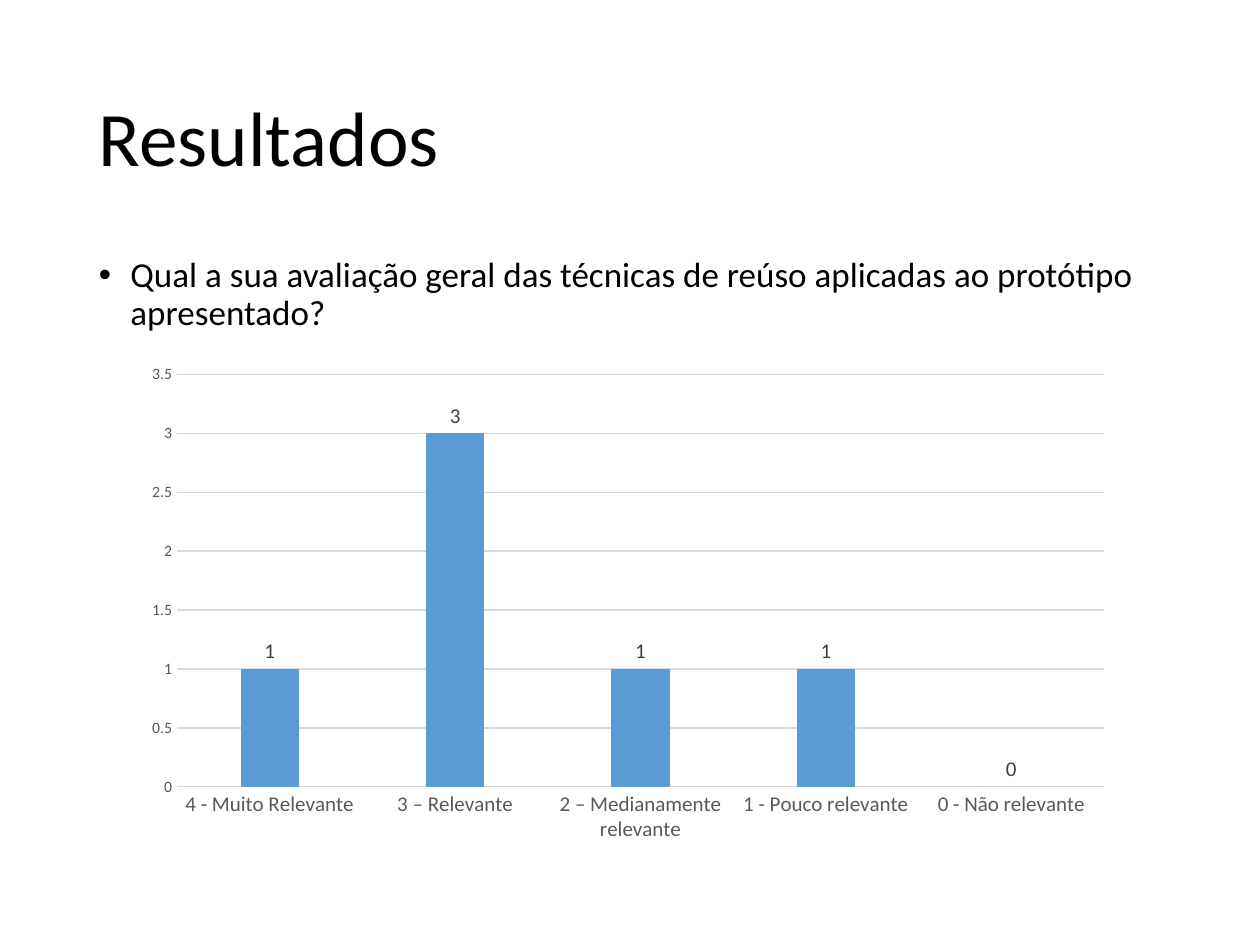
"""Build the survey results slide with its question and column chart."""
from lxml import etree
from pptx import Presentation
from pptx import util as u
from pptx.chart.data import CategoryChartData
from pptx.dml.color import RGBColor
from pptx.enum import chart as ch, text
from pptx.oxml.ns import qn

Pt = u.Pt
FONT = "Calibri"
COLORS = {"text": "000000", "axis": "595959", "label": "404040",
          "grid": "D9D9D9", "bar": "5B9BD5"}
RESULTS = {"4 - Muito Relevante": 1, "3 – Relevante": 3,
           "2 – Medianamente relevante": 1, "1 - Pouco relevante": 1,
           "0 - Não relevante": 0}


def rgb(name):
    return RGBColor.from_string(COLORS[name])


def set_attrs(obj, **values):
    for name, value in values.items():
        setattr(obj, name, value)


def set_font(font, size, color):
    set_attrs(font, name=FONT, size=Pt(size))
    font.color.rgb = rgb(color)


def set_line(fmt):
    fmt.line.width = Pt(0.75)
    fmt.line.color.rgb = rgb("grid")


def add_text(s, box, content, size, anchor):
    sp = s.shapes.add_textbox(*map(Pt, box))
    tf = sp.text_frame
    set_attrs(tf, word_wrap=True, vertical_anchor=anchor)
    p = tf.paragraphs[0]
    p.line_spacing = 0.9
    r = p.add_run()
    r.text = content
    set_font(r.font, size, "text")
    return p


def add_bullet(p, indent):
    pPr = p._p.get_or_add_pPr()
    pPr.set("marL", str(Pt(indent)))
    pPr.set("indent", str(-Pt(indent)))
    etree.SubElement(pPr, qn("a:buFont")).set("typeface", "Arial")
    etree.SubElement(pPr, qn("a:buChar")).set("char", "•")


def format_axis(axis, size):
    set_attrs(axis, major_tick_mark=ch.XL_TICK_MARK.NONE,
              minor_tick_mark=ch.XL_TICK_MARK.NONE)
    set_font(axis.tick_labels.font, size, "axis")


def add_results_chart(s, box):
    data = CategoryChartData()
    data.categories = list(RESULTS)
    data.add_series("Series 1", list(RESULTS.values()))
    kind = ch.XL_CHART_TYPE.COLUMN_CLUSTERED
    chart = s.shapes.add_chart(kind, *map(Pt, box), data).chart
    set_attrs(chart, has_legend=False, has_title=False)
    set_font(chart.font, 10, "text")

    cat, val = chart.category_axis, chart.value_axis
    format_axis(cat, 12)
    set_line(cat.format)
    format_axis(val, 9)
    set_attrs(val, minimum_scale=0, maximum_scale=3.5, major_unit=0.5,
              has_major_gridlines=True)
    val.format.line.fill.background()
    set_line(val.major_gridlines.format)

    plot = chart.plots[0]
    set_attrs(plot, gap_width=219, overlap=-27, vary_by_categories=False)
    series = plot.series[0]
    series.format.fill.solid()
    series.format.fill.fore_color.rgb = rgb("bar")
    labels = series.data_labels
    set_attrs(labels, show_value=True, position=ch.XL_LABEL_POSITION.OUTSIDE_END)
    set_font(labels.font, 12, "label")


def main():
    prs = Presentation()
    set_attrs(prs, slide_width=Pt(720), slide_height=Pt(540))
    s = prs.slides.add_slide(prs.slide_layouts[6])
    anchor = text.MSO_ANCHOR
    add_text(s, (49.5, 28.75, 621, 104.4), "Resultados", 44, anchor.MIDDLE)
    question = add_text(
        s, (49.5, 143.75, 621, 342.6),
        "Qual a sua avaliação geral das técnicas de reúso aplicadas "
        "ao protótipo apresentado?", 20, anchor.TOP)
    add_bullet(question, 18)
    add_results_chart(s, (75.6, 203, 566.6, 283.7))
    prs.save("out.pptx")


if __name__ == "__main__":
    main()
